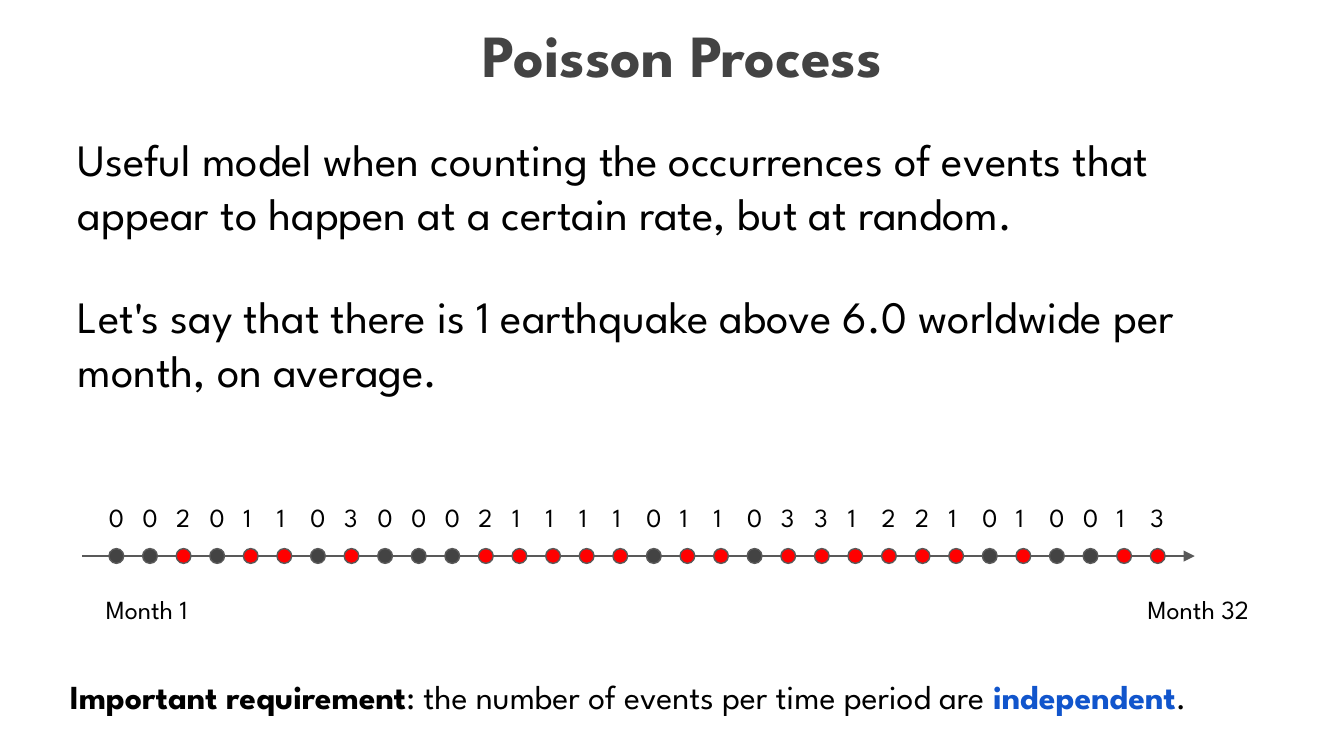
from lxml import etree
from pptx import Presentation
from pptx import util as u
from pptx.dml.color import RGBColor
from pptx.enum import shapes, text
from pptx.oxml import ns

COLORS = {
    "title": "434343",
    "text": "000000",
    "axis": "595959",
    "quiet": "434343",
    "event": "FF0000",
    "accent": "1155CC",
}
MONTHLY_COUNTS = [int(digit) for digit in "00201103000211110110331221010013"]


def color(name):
    return RGBColor.from_string(COLORS[name])


def add_run(content, paragraph, size=14, fill="text", bold=False, font="League Spartan"):
    run = paragraph.add_run()
    run.text = content
    run.font.name = font
    run.font.size = u.Pt(size)
    run.font.bold = bold
    run.font.color.rgb = color(fill)


class SlideBuilder:
    line_width = u.Pt(0.75)
    inset = u.Cm(0.25)

    def __init__(self, slide):
        self.slide = slide

    def text_box(self, left, top, width, height, runs, align=text.PP_ALIGN.LEFT, **style):
        shape = self.slide.shapes.add_textbox(u.Cm(left), u.Cm(top), u.Cm(width), u.Cm(height))
        frame = shape.text_frame
        frame.word_wrap = True
        frame.vertical_anchor = text.MSO_ANCHOR.TOP
        frame.margin_left = frame.margin_right = self.inset
        frame.margin_top = frame.margin_bottom = self.inset
        paragraph = frame.paragraphs[0]
        paragraph.alignment = align
        for content, changes in runs:
            add_run(content, paragraph, **{**style, **changes})

    def dot(self, left, top, diameter, fill):
        shape = self.slide.shapes.add_shape(
            shapes.MSO_SHAPE.OVAL, u.Cm(left), u.Cm(top), u.Cm(diameter), u.Cm(diameter)
        )
        shape.shadow.inherit = False
        shape.fill.solid()
        shape.fill.fore_color.rgb = color(fill)
        shape.line.color.rgb = color("axis")
        shape.line.width = self.line_width

    def arrow(self, start, end, y):
        connector = self.slide.shapes.add_connector(
            shapes.MSO_CONNECTOR.STRAIGHT, u.Cm(start), u.Cm(y), u.Cm(end), u.Cm(y)
        )
        connector.line.color.rgb = color("axis")
        connector.line.width = self.line_width
        etree.SubElement(connector.line._get_or_add_ln(), ns.qn("a:tailEnd"), type="triangle")
        etree.SubElement(connector._element.spPr, ns.qn("a:effectLst"))

    def timeline(self, counts, first, last, y):
        diameter = 0.28
        pitch = (last - first) / (len(counts) - 1)
        self.arrow(1.55, 22.58, y)
        for month, count in enumerate(counts):
            left = first + month * pitch
            self.dot(left, y - diameter / 2, diameter, "event" if count else "quiet")
            self.text_box(left - 0.25, 9.22, 0.81, 0.94, [(str(count), {})])
        for left, month in ((1.75, 1), (21.44, len(counts))):
            self.text_box(left, 10.97, 2.82, 1.14, [(f"Month {month}", {})])


def main():
    presentation = Presentation()
    presentation.slide_width = u.Cm(25.4)
    presentation.slide_height = u.Cm(14.29)
    builder = SlideBuilder(presentation.slides.add_slide(presentation.slide_layouts[6]))

    builder.text_box(0.2, 0.08, 25.4, 1.6, [("Poisson Process", {})],
                     align=text.PP_ALIGN.CENTER, size=32, fill="title", bold=True)
    statements = (
        (2.24, "Useful model when counting the occurrences of events that "
               "appear to happen at a certain rate, but at random."),
        (5.21, "Let's say that there is 1 earthquake above 6.0 worldwide per month, on average."),
    )
    for top, statement in statements:
        builder.text_box(1.22, top, 22.89, 2.62, [(statement, {})], size=24)

    builder.timeline(MONTHLY_COUNTS, first=2.06, last=21.74, y=10.51)

    builder.text_box(1.07, 12.52, 23.27, 1.27, [
        ("Important requirement", {"bold": True}),
        (": the number of events per time period are ", {}),
        ("independent", {"bold": True, "fill": "accent"}),
        (".", {}),
    ], size=18)
    presentation.save("out.pptx")


if __name__ == "__main__":
    main()
